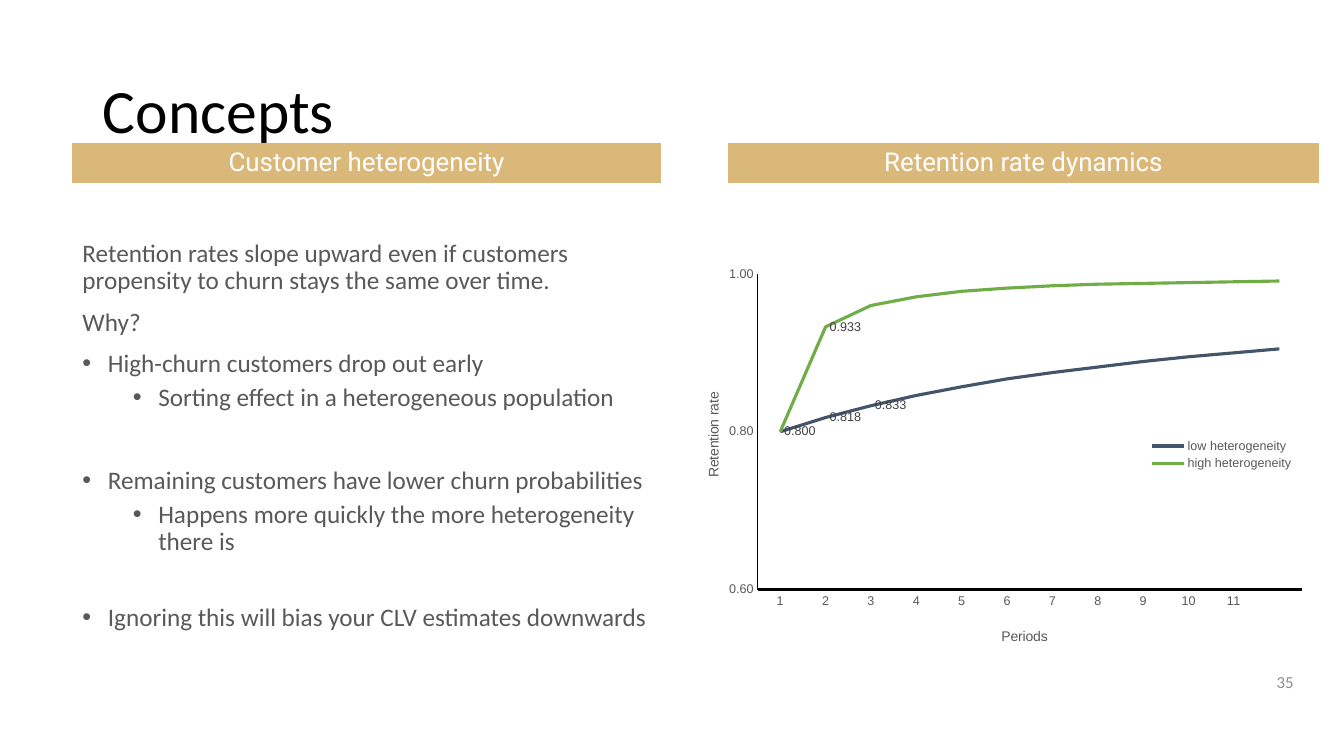
from lxml.etree import SubElement
from pptx import Presentation
from pptx.chart.data import CategoryChartData
from pptx.dml.color import RGBColor
from pptx.enum.chart import XL_CHART_TYPE, XL_LABEL_POSITION, XL_LEGEND_POSITION, XL_TICK_MARK
from pptx.enum.shapes import MSO_SHAPE
from pptx.enum.text import MSO_ANCHOR, PP_ALIGN
from pptx.oxml import parse_xml
from pptx.oxml.ns import nsdecls, qn
from pptx.util import Cm, Pt

COLORS = {"bar": "DAB879", "white": "FFFFFF", "black": "000000", "text": "595959",
          "number": "8C8C8C", "label": "404040", "low": "44546A", "high": "70AD47"}

# Text, level (None: no bullet), space before in points
ARGUMENT = [
    ("Retention rates slope upward even if customers propensity to churn "
     "stays the same over time.", None, 0),
    ("Why?", None, 10),
    ("High-churn customers drop out early", 0, 10),
    ("Sorting effect in a heterogeneous population", 1, 5),
    ("Remaining customers have lower churn probabilities", 0, 39.8),
    ("Happens more quickly the more heterogeneity there is", 1, 5),
    ("Ignoring this will bias your CLV estimates downwards", 0, 34.8),
]

# Name, colour, values, labelled points
RETENTION = [
    ("low heterogeneity", "low",
     (0.8, 0.818, 0.833, 0.846, 0.857, 0.867, 0.875, 0.882, 0.889, 0.895, 0.9, 0.905),
     (0, 1, 2)),
    ("high heterogeneity", "high",
     (0.8, 0.933, 0.96, 0.971, 0.978, 0.982, 0.985, 0.987, 0.988, 0.989, 0.99, 0.991),
     (1,)),
]


def apply(target, values):
    for name, value in values.items():
        setattr(target, name, value)


def place(element, inner=False, **fractions):
    """Give a chart part a fixed place, in fractions of the chart."""
    for old in element.findall(qn("c:layout")):
        element.remove(old)
    layout = parse_xml(f"<c:layout {nsdecls('c')}><c:manualLayout/></c:layout>")
    manual = layout[0]
    if inner:
        SubElement(manual, qn("c:layoutTarget")).set("val", "inner")
    for side in "xy":
        SubElement(manual, qn(f"c:{side}Mode")).set("val", "edge")
    for side, fraction in fractions.items():
        SubElement(manual, qn(f"c:{side}")).set("val", str(fraction))
    overlay = element.find(qn("c:overlay"))
    if overlay is None:
        element.insert(0, layout)
    else:
        overlay.addprevious(layout)


class SlideBuilder:
    def __init__(self, slide):
        self.slide = slide

    def font(self, font, name, size, color):
        apply(font, {"name": name, "size": Pt(size), "bold": False})
        font.color.rgb = RGBColor.from_string(COLORS[color])

    def line(self, line, color, width):
        line.color.rgb = RGBColor.from_string(COLORS[color])
        line.width = Pt(width)

    def add_words(self, paragraph, text, name, size, color, **layout):
        run = paragraph.add_run()
        run.text = text
        self.font(run.font, name, size, color)
        apply(paragraph, layout)

    def title(self, text, *box):
        title = self.slide.shapes.title
        apply(title, dict(zip(("left", "top", "width", "height"), map(Cm, box))))
        apply(title.text_frame, {"word_wrap": True, "vertical_anchor": MSO_ANCHOR.MIDDLE})
        self.add_words(title.text_frame.paragraphs[0], text, "Calibri", 44, "black",
                       alignment=PP_ALIGN.LEFT, line_spacing=0.9)
        # The title lies above the bars
        title._element.getparent().append(title._element)

    def bar(self, text, *box):
        bar = self.slide.shapes.add_shape(MSO_SHAPE.RECTANGLE, *map(Cm, box))
        bar.shadow.inherit = False
        bar.fill.solid()
        bar.fill.fore_color.rgb = RGBColor.from_string(COLORS["bar"])
        self.line(bar.line, "bar", 0.75)
        apply(bar.text_frame, {"word_wrap": True, "vertical_anchor": MSO_ANCHOR.MIDDLE})
        self.add_words(bar.text_frame.paragraphs[0], text, "Roboto", 18.5, "white",
                       alignment=PP_ALIGN.CENTER, line_spacing=0.9)

    def bullets(self, items, *box):
        frame = self.slide.shapes.add_textbox(*map(Cm, box)).text_frame
        apply(frame, {"word_wrap": True, "margin_top": Cm(1.19)})
        for index, (text, level, before) in enumerate(items):
            paragraph = frame.add_paragraph() if index else frame.paragraphs[0]
            self.add_words(paragraph, text, "Calibri", 18, "text", level=level or 0,
                           line_spacing=0.9, space_before=Pt(before))
            if level is not None:
                properties = paragraph._p.get_or_add_pPr()
                properties.set("marL", str(Cm(0.64 + 1.27 * level)))
                properties.set("indent", str(-Cm(0.64)))
                SubElement(properties, qn("a:buFont")).set("typeface", "Arial")
                SubElement(properties, qn("a:buChar")).set("char", "•")

    def page_number(self, text, *box):
        frame = self.slide.shapes.add_textbox(*map(Cm, box)).text_frame
        apply(frame, {"word_wrap": True, "vertical_anchor": MSO_ANCHOR.MIDDLE})
        self.add_words(frame.paragraphs[0], text, "Calibri", 12, "number",
                       alignment=PP_ALIGN.RIGHT)

    def axis(self, axis, title, width, rotation, x, y):
        apply(axis, {"has_major_gridlines": False, "major_tick_mark": XL_TICK_MARK.NONE,
                     "minor_tick_mark": XL_TICK_MARK.NONE})
        self.font(axis.tick_labels.font, "Arial", 9, "text")
        self.line(axis.format.line, "black", width)
        frame = axis.axis_title.text_frame
        self.add_words(frame.paragraphs[0], title, "Arial", 10, "text")
        frame._txBody.bodyPr.set("rot", str(rotation * 60000))
        place(axis.axis_title._element, x=x, y=y)

    def line_chart(self, rows, *box):
        data = CategoryChartData(number_format="0.000")
        data.categories = [str(period) for period in range(1, 12)]
        for name, _, values, _ in rows:
            data.add_series(name, values)
        chart = self.slide.shapes.add_chart(
            XL_CHART_TYPE.LINE, *map(Cm, box), data).chart
        apply(chart, {"has_title": False, "has_legend": True})
        self.font(chart.font, "Arial", 10, "black")
        place(chart._chartSpace.chart.plotArea, inner=True, x=0.12, y=0.02, w=0.88, h=0.82)

        # Axes
        self.axis(chart.category_axis, "Periods", 1.5, 0, 0.51, 0.93)
        retention = chart.value_axis
        self.axis(retention, "Retention rate", 1, -90, 0.03, 0.32)
        apply(retention, {"minimum_scale": 0.6, "maximum_scale": 1, "major_unit": 0.2})
        apply(retention.tick_labels,
              {"number_format": "#,##0.00", "number_format_is_linked": False})

        # Legend
        apply(chart.legend, {"position": XL_LEGEND_POSITION.RIGHT, "include_in_layout": False})
        self.font(chart.legend.font, "Arial", 9, "text")
        place(chart.legend._element, x=0.75, y=0.44, w=0.24, h=0.1)

        # Lines and their labelled points
        plot = chart.plots[0]
        plot.vary_by_categories = False
        for series, (_, color, _, labelled) in zip(plot.series, rows):
            series.smooth = False
            self.line(series.format.line, color, 2.25)
            apply(series.data_labels, {"show_value": False, "number_format": "0.000",
                                       "number_format_is_linked": False})
            for point in labelled:
                label = series.points[point].data_label
                self.font(label.font, "Arial", 9, "label")
                label.position = XL_LABEL_POSITION.RIGHT
            for label in series._element.findall(".//" + qn("c:dLbl")):
                label.insert(1, parse_xml(
                    f'<c:numFmt {nsdecls("c")} formatCode="0.000" sourceLinked="0"/>'))


def main():
    deck = Presentation()
    apply(deck, {"slide_width": Cm(33.87), "slide_height": Cm(19.05)})
    builder = SlideBuilder(deck.slides.add_slide(deck.slide_layouts[5]))

    # Left column: the argument
    builder.page_number("35", 31.78, 16.66, 1.07, 1.02)
    builder.bullets(ARGUMENT, 1.83, 4.88, 14.86, 11.71)
    builder.bar("Customer heterogeneity", 1.83, 3.61, 14.81, 0.99)

    # Right column: the chart
    builder.bar("Retention rate dynamics", 18.36, 3.61, 14.86, 0.99)
    builder.title("Concepts", 2.34, 1.02, 29.21, 3.68)
    builder.line_chart(RETENTION, 17.22, 6.71, 15.62, 9.7)
    deck.save("out.pptx")


if __name__ == "__main__":
    main()
